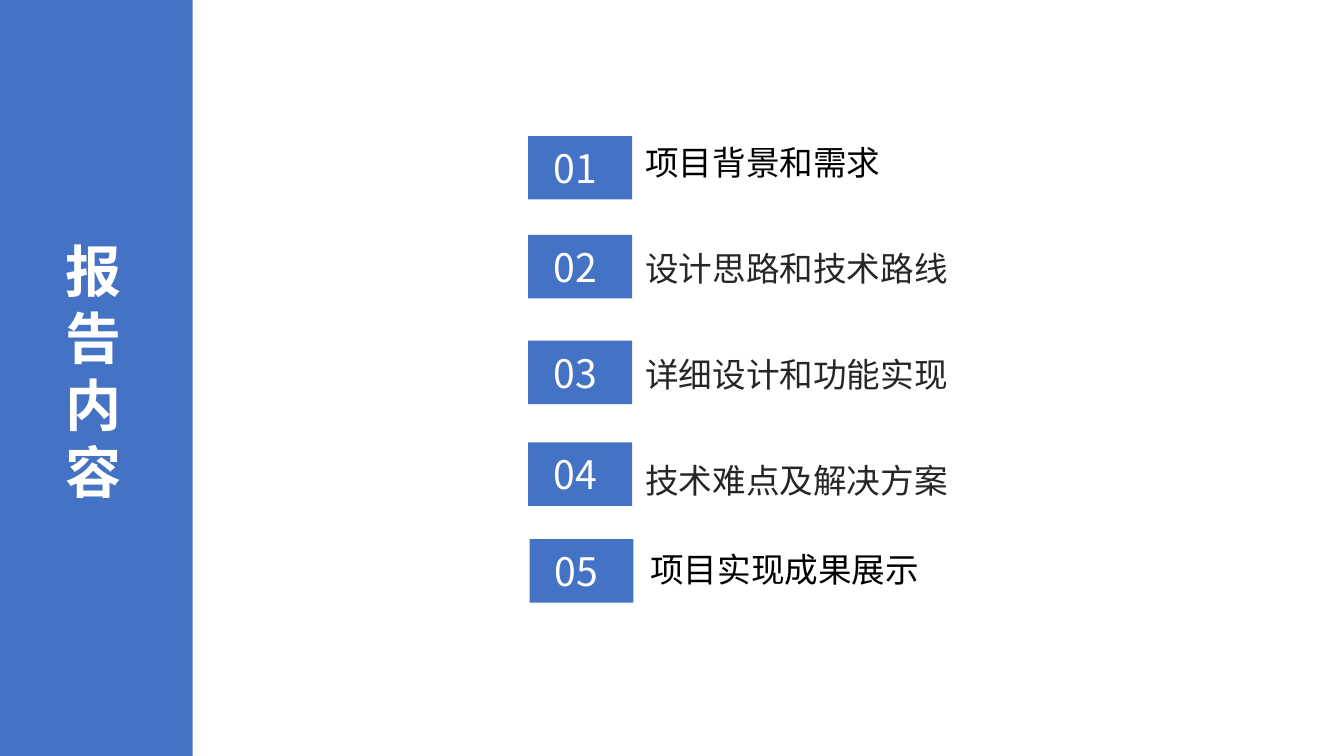
import pptx
import pptx.dml.color
import pptx.enum.shapes
import pptx.enum.text
import pptx.util
from dataclasses import dataclass
from lxml import etree
from pptx.oxml.ns import qn


@dataclass(frozen=True)
class Theme:
    font: str = "Noto Sans CJK SC"
    blue: str = "4472C4"
    white: str = "FFFFFF"
    black: str = "000000"
    gray: str = "262626"
    title_size: int = 40
    number_size: int = 28
    item_size: int = 24


class Deck:
    """Draws on the current slide; lengths are percentages of its size."""

    def __init__(self, theme):
        self.theme = theme
        self.prs = pptx.Presentation()
        self.prs.slide_width = pptx.util.Inches(13.33)
        self.prs.slide_height = pptx.util.Inches(7.5)
        self.s = self.prs.slides.add_slide(self.prs.slide_layouts[1])

    def box(self, x, y, w, h):
        across, down = self.prs.slide_width / 100, self.prs.slide_height / 100
        return [round(v) for v in (x * across, y * down, w * across, h * down)]

    def place(self, sp, x, y, w, h):
        sp.left, sp.top, sp.width, sp.height = self.box(x, y, w, h)

    def set_text(self, sp, text, size, color, bold=False, inset=0.1, middle=False, spacing=1.0):
        tf = sp.text_frame
        tf.text = text
        tf.word_wrap = True
        tf.auto_size = pptx.enum.text.MSO_AUTO_SIZE.NONE
        anchors = pptx.enum.text.MSO_ANCHOR
        tf.vertical_anchor = anchors.MIDDLE if middle else anchors.TOP
        tf.margin_left = pptx.util.Inches(inset)
        tf.margin_right = pptx.util.Inches(0)
        p = tf.paragraphs[0]
        p.alignment = pptx.enum.text.PP_ALIGN.LEFT
        p.line_spacing = spacing
        p.space_before = pptx.util.Pt(0)
        pPr = p._p.get_or_add_pPr()
        pPr.set("marL", "0")
        pPr.set("indent", "0")
        etree.SubElement(pPr, qn("a:buNone"))
        r = p.runs[0]
        r.font.name = self.theme.font
        r.font.size = pptx.util.Pt(size)
        r.font.bold = bold
        r.font.color.rgb = pptx.dml.color.RGBColor.from_string(color)
        etree.SubElement(r.font._element, qn("a:ea"), typeface=self.theme.font)

    def block(self, x, y, w, h):
        kind = pptx.enum.shapes.MSO_SHAPE.RECTANGLE
        sp = self.s.shapes.add_shape(kind, *self.box(x, y, w, h))
        sp.shadow.inherit = False
        sp.fill.solid()
        sp.fill.fore_color.rgb = pptx.dml.color.RGBColor.from_string(self.theme.blue)
        sp.line.fill.background()
        return sp

    def sidebar(self, text):
        band = self.block(0, 0, 14.33, 100)
        title = self.s.shapes.title
        title._element.addprevious(band._element)
        self.place(title, 4.13, 30.4, 7.58, 37.2)
        self.set_text(title, text, self.theme.title_size, self.theme.white, bold=True, middle=True)

    def number(self, text, x, y):
        sp = self.block(x, y, 7.73, 8.4)
        self.set_text(sp, text, self.theme.number_size, self.theme.white, inset=0.25, middle=True)

    def item(self, text, x, y, color, spacing, sp=None):
        if sp is None:
            sp = self.s.shapes.add_textbox(*self.box(x, y, 26.4, 8.4))
        else:
            self.place(sp, x, y, 26.4, 8.4)
        self.set_text(sp, text, self.theme.item_size, color, inset=0.17, spacing=spacing)


def main():
    theme = Theme()
    deck = Deck(theme)
    deck.sidebar("报告内容")
    # text, number left and top, text left and top, colour, line spacing
    agenda = [
        ("项目背景和需求", 39.3, 18, 46.74, 18.67, theme.black, 0.9),
        ("设计思路和技术路线", 39.3, 31.07, 46.74, 31.07, theme.gray, 1.2),
        ("详细设计和功能实现", 39.3, 45.07, 46.74, 45.07, theme.gray, 1.2),
        ("技术难点及解决方案", 39.3, 58.53, 46.74, 59.07, theme.gray, 1.2),
        ("项目实现成果展示", 39.4, 71.33, 47.11, 72.53, theme.black, 0.9),
    ]
    body = deck.s.placeholders[1]
    for i, (text, num_x, num_y, x, y, color, spacing) in enumerate(agenda):
        deck.number(f"{i + 1:02d}", num_x, num_y)
        deck.item(text, x, y, color, spacing, sp=None if i else body)
    deck.prs.save("out.pptx")


if __name__ == "__main__":
    main()
